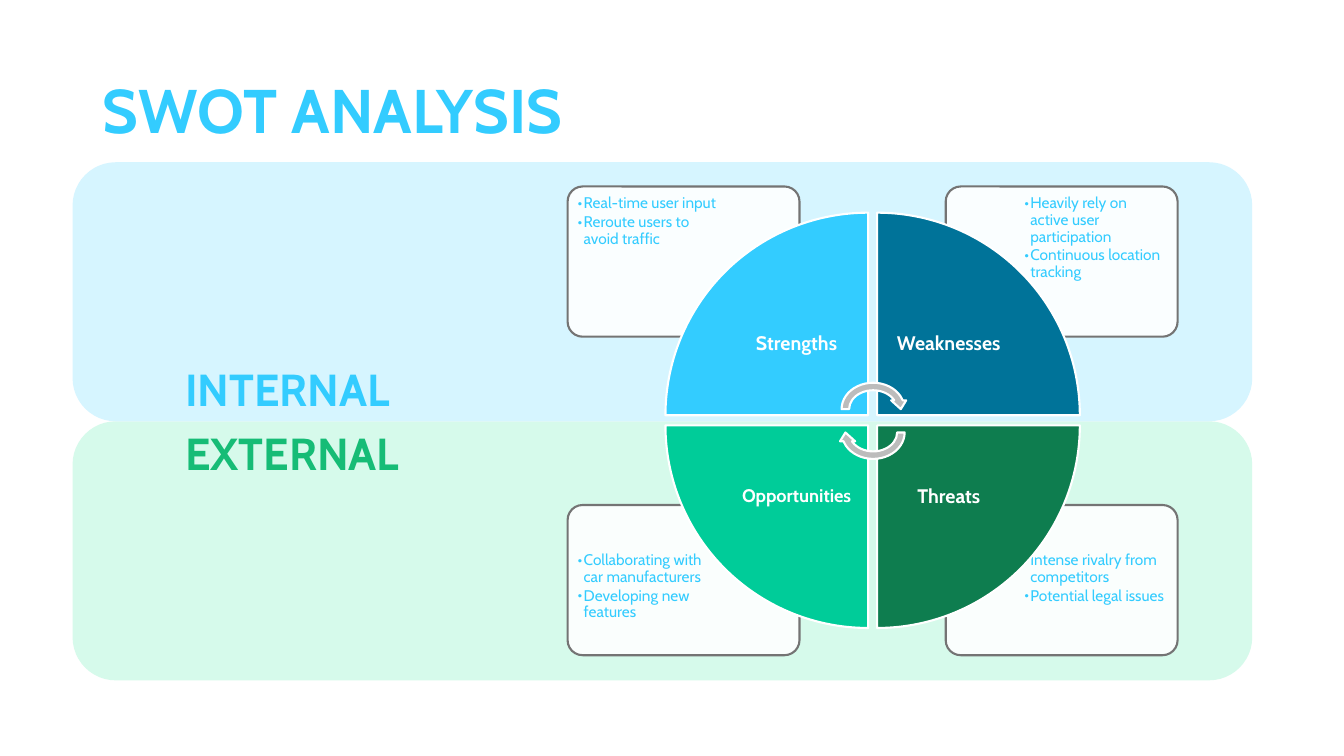
import dataclasses
import typing

import lxml.etree
import pptx
import pptx.dml.color
import pptx.enum.shapes
import pptx.enum.text
import pptx.oxml.ns
import pptx.presentation
import pptx.shapes.autoshape
import pptx.slide
import pptx.text.text
import pptx.util

Inches = pptx.util.Inches
Pt = pptx.util.Pt
Shape = pptx.enum.shapes.MSO_SHAPE
Align = pptx.enum.text.PP_ALIGN
Anchor = pptx.enum.text.MSO_ANCHOR
qn = pptx.oxml.ns.qn


@dataclasses.dataclass(frozen=True)
class Theme:
    font: str = "Cabin"
    sky: str = "33CCFF"
    pale_sky: str = "D6F5FF"
    ocean: str = "007399"
    mint: str = "00CC99"
    pale_mint: str = "D6FAEB"
    green: str = "16BC76"
    forest: str = "0E7D4F"
    white: str = "FFFFFF"
    arrow: str = "BCBCBC"
    card_line: str = "747474"
    title_size: float = 44
    band_size: float = 32
    label_size: float = 14
    small_label_size: float = 13
    bullet_size: float = 11
    line_width: float = 1.5
    line_spacing: float = 0.9


THEME = Theme()


class Box(typing.NamedTuple):
    left: float
    top: float
    width: float
    height: float

    def shifted(self, right: float, down: float) -> "Box":
        return self._replace(left=self.left + right, top=self.top + down)

    def lengths(self) -> list[pptx.util.Length]:
        return [Inches(value) for value in self]


@dataclasses.dataclass(frozen=True)
class Band:
    name: str
    box: Box
    fill: str
    name_box: Box
    name_color: str


@dataclasses.dataclass(frozen=True)
class Quadrant:
    name: str
    column: int
    row: int
    rotation: int
    fill: str
    points: tuple[str, ...]
    label_size: float = THEME.label_size


BANDS = (
    Band("EXTERNAL", Box(0.72, 4.18, 11.7, 2.57), THEME.pale_mint,
         Box(1.74, 4.17, 2.33, 0.64), THEME.green),
    Band("INTERNAL", Box(0.72, 1.61, 11.7, 2.57), THEME.pale_sky,
         Box(1.74, 3.54, 2.26, 0.64), THEME.sky),
)
QUADRANTS = (
    Quadrant("Strengths", 0, 0, 0, THEME.sky,
             ("Real-time user input", "Reroute users to avoid traffic")),
    Quadrant("Weaknesses", 1, 0, 90, THEME.ocean,
             ("Heavily rely on active user participation",
              "Continuous location tracking")),
    Quadrant("Threats", 1, 1, 180, THEME.forest,
             ("Intense rivalry from competitors", "Potential legal issues")),
    Quadrant("Opportunities", 0, 1, 270, THEME.mint,
             ("Collaborating with car manufacturers", "Developing new features"),
             THEME.small_label_size),
)
# The top-left box of each kind; the other three follow by a fixed step.
CARD, CARD_STEP = Box(5.63, 1.85, 2.3, 1.49), (3.75, 3.16)
POINTS, POINTS_STEP = Box(5.67, 1.88, 1.54, 1.05), (4.43, 3.54)
WEDGE, WEDGE_STEP = Box(6.6, 2.11, 2.01, 2.01), (2.1, 2.11)
LABEL, LABEL_STEP = Box(7.19, 2.7, 1.42, 1.42), (1.51, 1.52)
ARROW, ARROW_DROP = Box(8.31, 3.76, 0.7, 0.6), 0.23


def quadrant_box(first: Box, step: tuple[float, float], quadrant: Quadrant) -> Box:
    return first.shifted(quadrant.column * step[0], quadrant.row * step[1])


def rgb(color: str) -> pptx.dml.color.RGBColor:
    return pptx.dml.color.RGBColor.from_string(color)


def add_filled(slide: pptx.slide.Slide, kind: Shape, box: Box, fill: str,
               line: str | None = None,
               rotation: int = 0) -> pptx.shapes.autoshape.Shape:
    shape = slide.shapes.add_shape(kind, *box.lengths())
    shape.shadow.inherit = False
    shape.rotation = rotation
    shape.fill.solid()
    shape.fill.fore_color.rgb = rgb(fill)
    if line is None:
        shape.line.fill.background()
    else:
        shape.line.color.rgb = rgb(line)
        shape.line.width = Pt(THEME.line_width)
    return shape


def format_text(frame: pptx.text.text.TextFrame, size: float, color: str,
                bold: bool = False, align: Align = Align.LEFT,
                spacing: float = THEME.line_spacing) -> None:
    for paragraph in frame.paragraphs:
        paragraph.alignment = align
        paragraph.line_spacing = spacing
        for run in paragraph.runs:
            run.font.name = THEME.font
            run.font.size = Pt(size)
            run.font.bold = bold
            run.font.color.rgb = rgb(color)


def add_text_frame(slide: pptx.slide.Slide, box: Box, text: str,
                   inset: float) -> pptx.text.text.TextFrame:
    frame = slide.shapes.add_textbox(*box.lengths()).text_frame
    frame.word_wrap = True
    frame.margin_left = frame.margin_right = Inches(inset)
    frame.margin_top = frame.margin_bottom = Inches(inset)
    frame.text = text
    return frame


def add_bullet(paragraph: pptx.text.text._Paragraph) -> None:
    properties = paragraph._p.get_or_add_pPr()
    properties.set("marL", str(Inches(0.06)))
    properties.set("indent", str(Inches(-0.06)))
    lxml.etree.SubElement(properties, qn("a:buFont")).set("typeface", THEME.font)
    lxml.etree.SubElement(properties, qn("a:buChar")).set("char", "•")


def add_card(slide: pptx.slide.Slide, quadrant: Quadrant) -> None:
    card = add_filled(slide, Shape.ROUNDED_RECTANGLE,
                      quadrant_box(CARD, CARD_STEP, quadrant),
                      THEME.white, THEME.card_line)
    card.adjustments[0] = 0.1
    fill_color = card._element.spPr.find(qn("a:solidFill"))[0]
    lxml.etree.SubElement(fill_color, qn("a:alpha")).set("val", "90000")

    frame = add_text_frame(slide, quadrant_box(POINTS, POINTS_STEP, quadrant),
                           "\n".join(quadrant.points), 0.06)
    format_text(frame, THEME.bullet_size, THEME.sky)
    for paragraph in frame.paragraphs:
        paragraph.level = 1
        paragraph.space_after = Pt(1.6)
        add_bullet(paragraph)


def add_wedge(slide: pptx.slide.Slide, quadrant: Quadrant) -> None:
    add_filled(slide, Shape.PIE_WEDGE, quadrant_box(WEDGE, WEDGE_STEP, quadrant),
               quadrant.fill, THEME.white, quadrant.rotation)
    frame = add_text_frame(slide, quadrant_box(LABEL, LABEL_STEP, quadrant),
                           quadrant.name, 0.1)
    frame.vertical_anchor = Anchor.MIDDLE
    format_text(frame, quadrant.label_size, THEME.white, True, Align.CENTER)


def add_band_name(slide: pptx.slide.Slide, band: Band) -> None:
    frame = slide.shapes.add_textbox(*band.name_box.lengths()).text_frame
    frame.word_wrap = False
    frame.auto_size = pptx.enum.text.MSO_AUTO_SIZE.SHAPE_TO_FIT_TEXT
    frame.text = band.name
    format_text(frame, THEME.band_size, band.name_color, True, spacing=1.0)


def set_title(slide: pptx.slide.Slide, text: str) -> None:
    title = slide.shapes.title
    title.left, title.top, title.width, title.height = Box(
        0.92, 0.4, 11.5, 1.45).lengths()
    title.text_frame.text = text
    title.text_frame.vertical_anchor = Anchor.MIDDLE
    format_text(title.text_frame, THEME.title_size, THEME.sky, True)


def main() -> None:
    presentation = pptx.Presentation()
    presentation.slide_width = Inches(13.33)
    presentation.slide_height = Inches(7.5)
    slide = presentation.slides.add_slide(presentation.slide_layouts[5])

    set_title(slide, "SWOT ANALYSIS")
    for band in BANDS:
        add_filled(slide, Shape.ROUNDED_RECTANGLE, band.box, band.fill)
    for quadrant in QUADRANTS:
        add_card(slide, quadrant)
    for quadrant in QUADRANTS:
        add_wedge(slide, quadrant)
    for turn in range(2):
        add_filled(slide, Shape.CIRCULAR_ARROW, ARROW.shifted(0, turn * ARROW_DROP),
                   THEME.arrow, THEME.white, turn * 180)
    for band in BANDS:
        add_band_name(slide, band)
    presentation.save("out.pptx")


if __name__ == "__main__":
    main()
